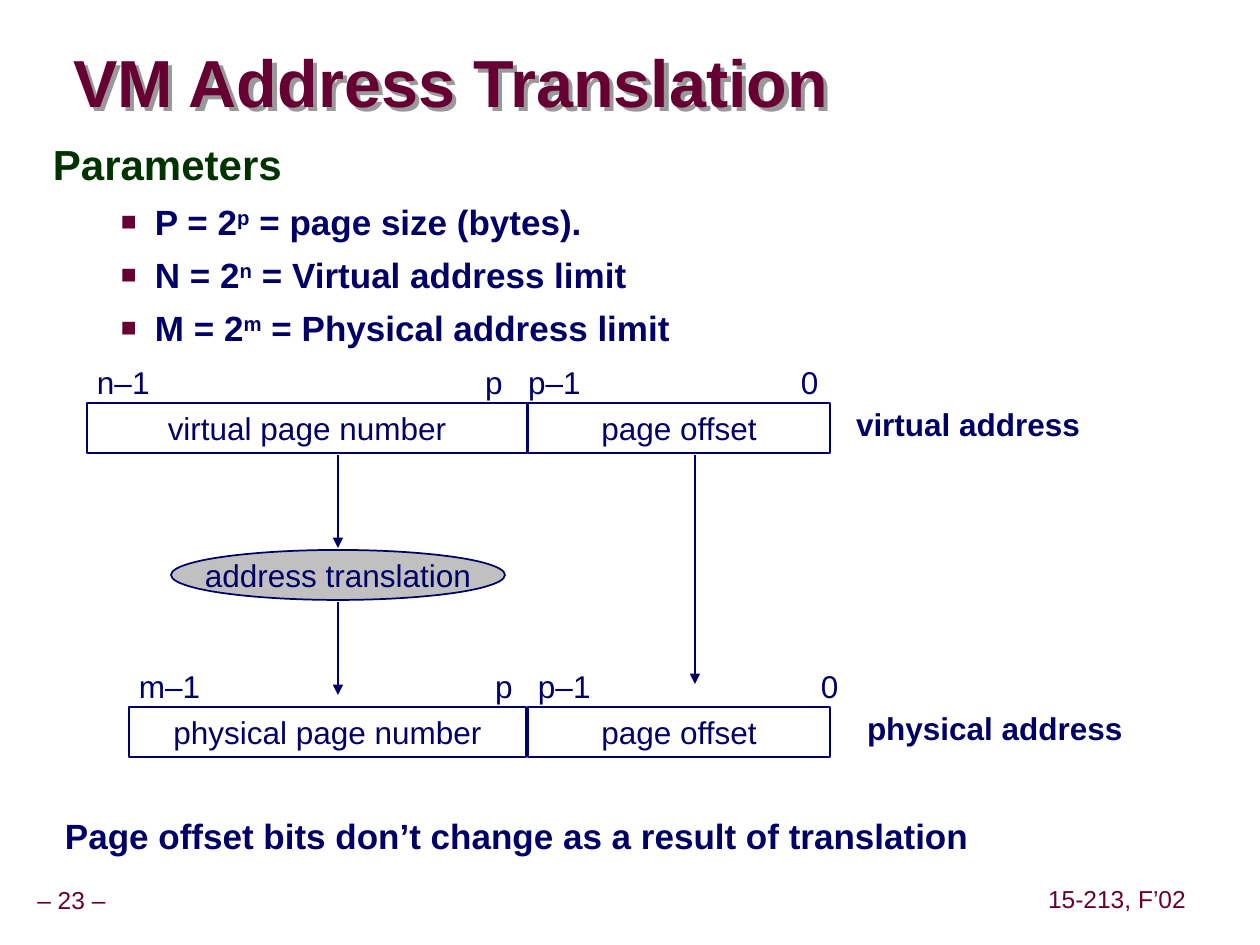
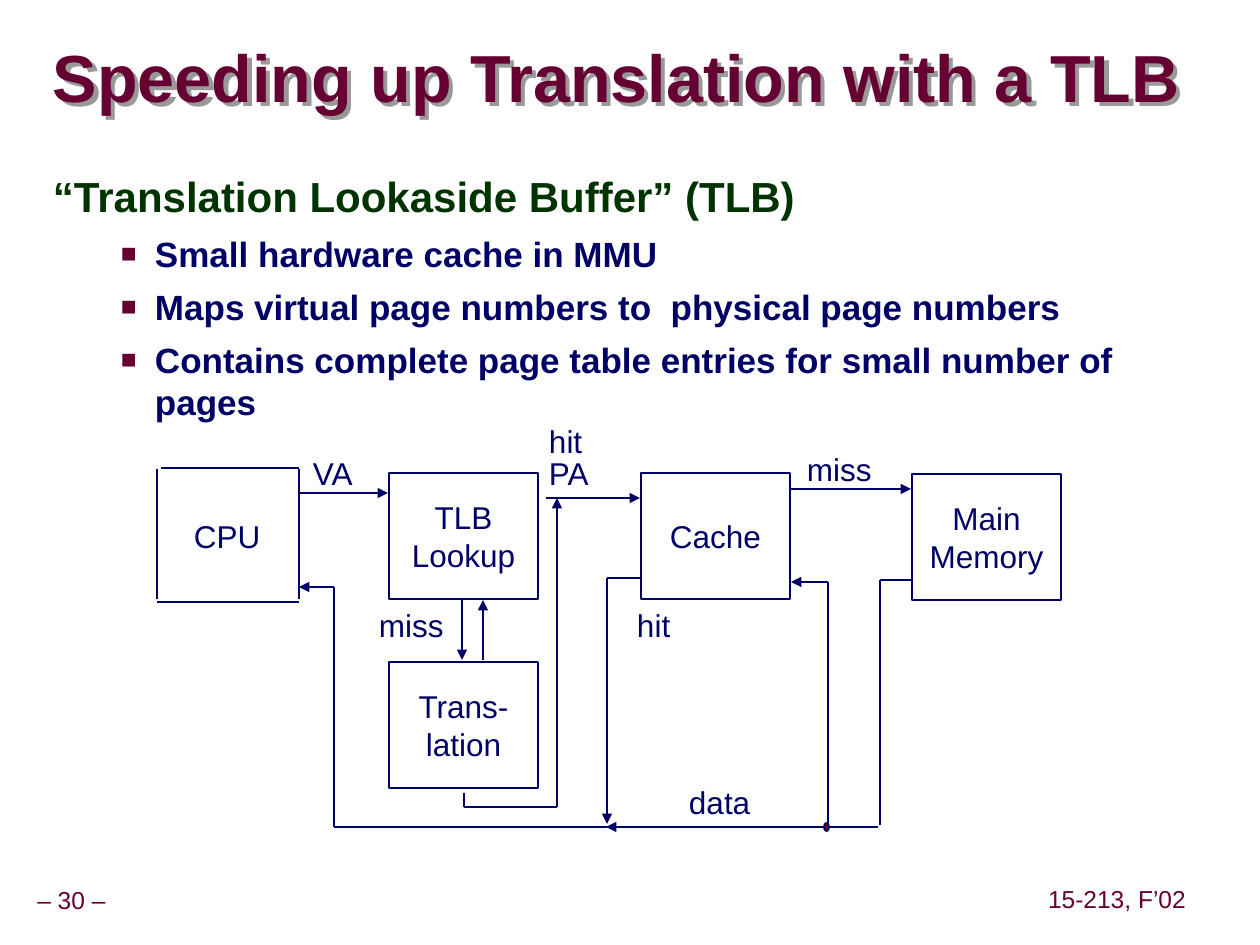
import itertools
from dataclasses import dataclass

import lxml.etree
import pptx
import pptx.dml.color
import pptx.enum.shapes
import pptx.enum.text
import pptx.oxml.ns
import pptx.util

ALIGN = pptx.enum.text.PP_ALIGN
ANCHOR = pptx.enum.text.MSO_ANCHOR
FIT = pptx.enum.text.MSO_AUTO_SIZE
SHAPE = pptx.enum.shapes.MSO_SHAPE


@dataclass(frozen=True)
class Theme:
    face: str = "Arial"
    maroon: str = "660033"
    navy: str = "000066"
    green: str = "003300"
    white: str = "FFFFFF"
    grey: str = "C0C0C0"
    dot: str = "800000"
    shadow: str = "999999"
    title: int = 38
    heading: int = 24
    item: int = 20
    label: int = 18
    footer: int = 14
    line: int = 1


THEME = Theme()
COURSE = "15-213, F’02"

TRANSLATION = {
    "title": "VM Address Translation",
    "title_box": (73, 47, 929, 79),
    "number": 23,
    "body_box": (40, 136, 1145, 751),
    "heading": "Parameters",
    "items": [
        "P = 2^p^ = page size (bytes).",
        "N = 2^n^ = Virtual address limit",
        "M = 2^m^ = Physical address limit",
    ],
}
FIELD_HEIGHT = 50
OFFSET_LEFT, OFFSET_WIDTH = 528, 302
BIT_WIDTH, NAME_WIDTH = 110, 310
ADDRESSES = [
    {"top": 403, "left": 87, "width": 440, "field": "virtual page number",
     "name": ("virtual address", 843),
     "bits": [("n–1", 84), ("p", 472), ("p–1", 515), ("0", 788)]},
    {"top": 707, "left": 129, "width": 397, "field": "physical page number",
     "name": ("physical address", 854),
     "bits": [("m–1", 126), ("p", 482), ("p–1", 525), ("0", 808)]},
]
TRANSLATOR = ("address translation", (171, 550, 334, 50))
ADDRESS_ARROWS = [
    [(695, 455), (695, 684)],
    [(338, 455), (338, 548)],
    [(338, 602), (338, 695)],
]
CONCLUSION = ("Page offset bits don’t change as a result of translation",
              (52, 808, 1147, 54))

LOOKASIDE = {
    "title": "Speeding up Translation with a TLB",
    "title_box": (53, 42, 1155, 79),
    "number": 30,
    "body_box": (40, 168, 1145, 719),
    "heading": "“Translation Lookaside Buffer” (TLB)",
    "items": [
        "Small hardware cache in MMU",
        "Maps virtual page numbers to  physical page numbers",
        "Contains complete page table entries for small number of pages",
    ],
}
UNIT_SIZE = (149, 126)
UNITS = [
    ("TLB\nLookup", 389, 473),
    ("Cache", 641, 473),
    ("Main\nMemory", 912, 474),
    ("Trans-\nlation", 389, 662),
]
SIGNAL_SIZE = (110, 39)
SIGNALS = [
    ("CPU", 185, 519),
    ("VA", 304, 456),
    ("hit", 540, 424),
    ("PA", 540, 456),
    ("miss", 798, 452),
    ("hit", 628, 608),
    ("miss", 370, 608),
    ("data", 680, 785),
]
PLAIN_WIRES = [
    [(161, 468), (299, 468)],
    [(299, 469), (299, 599)],
    [(299, 602), (157, 602)],
    [(157, 469), (157, 599)],
    [(912, 580), (880, 580), (880, 825)],
]
ARROW_WIRES = [
    [(300, 493), (388, 493)],
    [(546, 498), (640, 498)],
    [(790, 489), (911, 489)],
    [(878, 827), (606, 827)],
    [(607, 827), (334, 827), (334, 587), (299, 587)],
    [(828, 829), (828, 582), (791, 582)],
    [(640, 578), (607, 578), (607, 824)],
    [(462, 600), (462, 660)],
    [(483, 660), (483, 600)],
    [(464, 793), (464, 807), (557, 807), (557, 498)],
]
JUNCTION = (824, 823, 5, 8)


def px(length):
    return pptx.util.Emu(round(length * 914400 / 126))


def place(box):
    return [px(length) for length in box]


def rgb(color):
    return pptx.dml.color.RGBColor.from_string(color)


def apply(target, **values):
    for name, value in values.items():
        setattr(target, name, value)


def add_xml(parent, tag, **values):
    return lxml.etree.SubElement(parent, pptx.oxml.ns.qn(tag), values)


def set_frame(frame, inset=(13, 6), **values):
    side, end = place(inset)
    apply(frame, margin_left=side, margin_right=side, margin_top=end,
          margin_bottom=end, **values)


def add_span(para, text, size, color, bold=False):
    span = para.add_run()
    span.text = text
    apply(span.font, name=THEME.face, size=pptx.util.Pt(size), bold=bold)
    span.font.color.rgb = rgb(color)
    return span


def write(frame, text, size=THEME.label, color=THEME.navy, bold=False, **layout):
    for index, line in enumerate(text.split("\n")):
        para = frame.add_paragraph() if index else frame.paragraphs[0]
        apply(para, **layout)
        add_span(para, line, size, color, bold)


def add_label(page, text, box, inset=(13, 6), anchor=ANCHOR.TOP, **style):
    frame = page.shapes.add_textbox(*place(box)).text_frame
    set_frame(frame, inset, word_wrap=True, vertical_anchor=anchor,
              auto_size=FIT.NONE)
    write(frame, text, **style)


def add_figure(page, kind, box, fill=None, text=None):
    figure = page.shapes.add_shape(kind, *place(box))
    figure.shadow.inherit = False
    if fill:
        figure.fill.solid()
        figure.fill.fore_color.rgb = rgb(fill)
    else:
        figure.fill.background()
    figure.line.color.rgb = rgb(THEME.navy)
    figure.line.width = pptx.util.Pt(THEME.line)
    if text:
        set_frame(figure.text_frame, word_wrap=False,
                  vertical_anchor=ANCHOR.MIDDLE)
        write(figure.text_frame, text, alignment=ALIGN.CENTER)


def add_wire(page, points, arrow):
    for start, end in itertools.pairwise(points):
        wire = page.shapes.add_connector(
            pptx.enum.shapes.MSO_CONNECTOR.STRAIGHT, *place(start + end))
        wire.line.color.rgb = rgb(THEME.navy)
        wire.line.width = pptx.util.Pt(THEME.line)
        if arrow and end == points[-1]:
            add_xml(wire.line._get_or_add_ln(), "a:tailEnd", type="triangle")
        add_xml(wire._element.spPr, "a:effectLst")


def set_indent(para, left, hanging):
    properties = para._p.get_or_add_pPr()
    properties.set("marL", str(px(left)))
    properties.set("indent", str(-px(hanging)))
    return properties


def fill_title(title, text, box):
    apply(title, **dict(zip(("left", "top", "width", "height"), place(box))))
    title.fill.background()
    effects = add_xml(title._element.spPr, "a:effectLst")
    shadow = add_xml(effects, "a:outerShdw", dist=str(px(6)), dir="2700000",
                     algn="ctr", rotWithShape="0")
    add_xml(shadow, "a:srgbClr", val=THEME.shadow)
    set_frame(title.text_frame, (0, 0), vertical_anchor=ANCHOR.MIDDLE,
              auto_size=FIT.NONE, word_wrap=True)
    para = title.text_frame.paragraphs[0]
    apply(para, alignment=ALIGN.LEFT, line_spacing=0.87)
    add_span(para, text, THEME.title, THEME.maroon, True)


def fill_body(body, heading, items, box):
    apply(body, **dict(zip(("left", "top", "width", "height"), place(box))))
    frame = body.text_frame
    set_frame(frame, auto_size=FIT.NONE, vertical_anchor=ANCHOR.TOP,
              word_wrap=True)
    para = frame.paragraphs[0]
    add_xml(set_indent(para, 53, 53), "a:buNone")
    apply(para, line_spacing=0.95, space_before=pptx.util.Pt(0))
    add_span(para, heading, THEME.heading, THEME.green, True)
    for item in items:
        para = frame.add_paragraph()
        properties = set_indent(para, 102, 34)
        add_xml(add_xml(properties, "a:buClr"), "a:srgbClr", val=THEME.maroon)
        add_xml(properties, "a:buSzPct", val="75000")
        add_xml(properties, "a:buFont", typeface=THEME.face)
        add_xml(properties, "a:buChar", char="■")
        apply(para, level=1, line_spacing=1.0, space_before=pptx.util.Pt(6.2))
        for index, part in enumerate(item.split("^")):
            span = add_span(para, part, THEME.item, THEME.navy, True)
            if index % 2:
                span._r.get_or_add_rPr().set("baseline", "30000")


def add_page(deck, content):
    page = deck.slides.add_slide(deck.slide_layouts[1])
    fill_title(page.shapes.title, content["title"], content["title_box"])
    fill_body(page.placeholders[1], content["heading"], content["items"],
              content["body_box"])
    footers = [(f"– {content['number']} –", (-11, 882, 165, 39)),
               (COURSE, (1027, 881, 180, 39))]
    for text, box in footers:
        add_label(page, text, box, inset=(6, 6), anchor=ANCHOR.MIDDLE,
                  size=THEME.footer, color=THEME.maroon,
                  alignment=ALIGN.CENTER, line_spacing=0.9)
    return page


def draw_translation(page):
    for address in ADDRESSES:
        top = address["top"]
        fields = [(address["field"], address["left"], address["width"]),
                  ("page offset", OFFSET_LEFT, OFFSET_WIDTH)]
        for text, left, width in fields:
            add_figure(page, SHAPE.RECTANGLE, (left, top, width, FIELD_HEIGHT),
                       THEME.white, text)
        for text, left in address["bits"]:
            add_label(page, text, (left, top - 46, BIT_WIDTH, FIELD_HEIGHT))
        text, left = address["name"]
        add_label(page, text, (left, top - 4, NAME_WIDTH, FIELD_HEIGHT),
                  bold=True)
    text, box = TRANSLATOR
    add_figure(page, SHAPE.OVAL, box, THEME.grey, text)
    for points in ADDRESS_ARROWS:
        add_wire(page, points, True)
    text, box = CONCLUSION
    add_label(page, text, box, size=THEME.item, bold=True)


def draw_lookaside(page):
    for text, left, top in UNITS:
        add_figure(page, SHAPE.RECTANGLE, (left, top, *UNIT_SIZE), text=text)
    for wires, arrow in ((PLAIN_WIRES, False), (ARROW_WIRES, True)):
        for points in wires:
            add_wire(page, points, arrow)
    add_figure(page, SHAPE.OVAL, JUNCTION, THEME.dot)
    for text, left, top in SIGNALS:
        add_label(page, text, (left, top, *SIGNAL_SIZE), inset=(9, 4),
                  line_spacing=0.85)


def main():
    deck = pptx.Presentation()
    apply(deck, slide_width=px(1260), slide_height=px(945))
    draw_translation(add_page(deck, TRANSLATION))
    draw_lookaside(add_page(deck, LOOKASIDE))
    deck.save("out.pptx")


if __name__ == "__main__":
    main()
